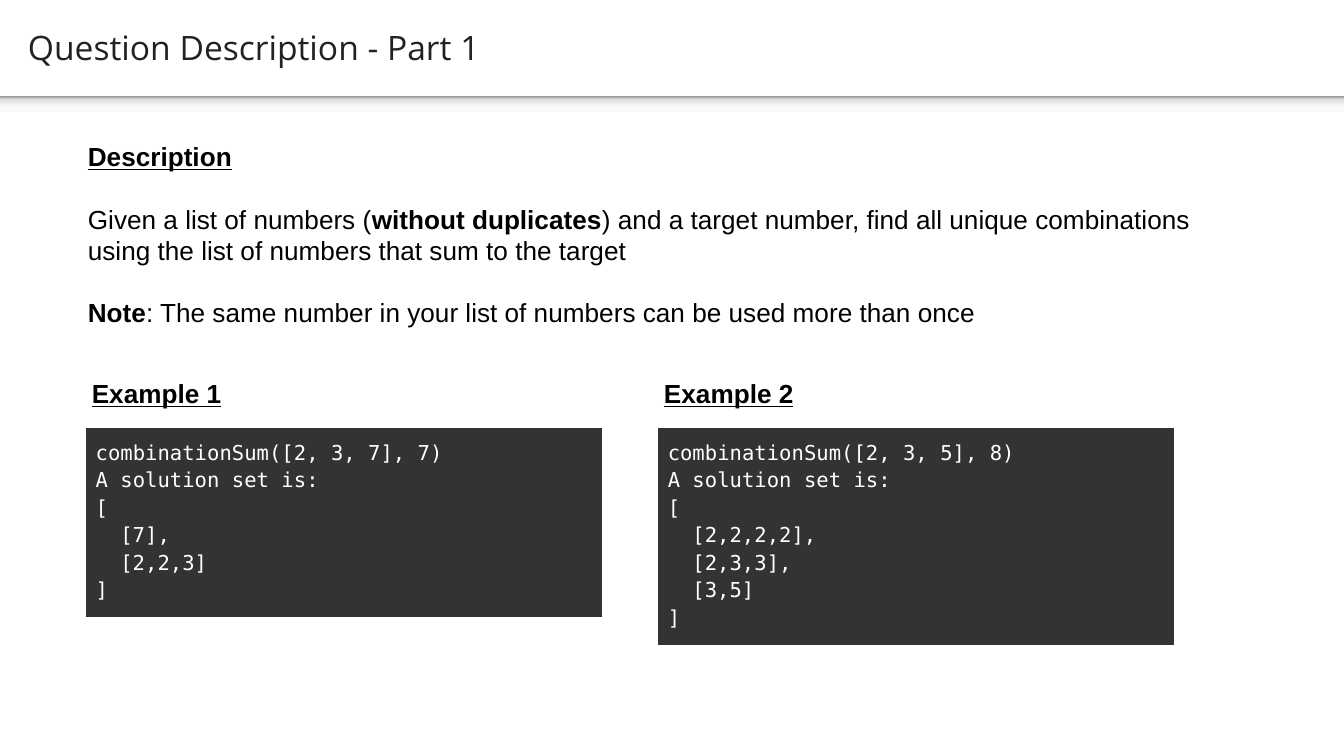
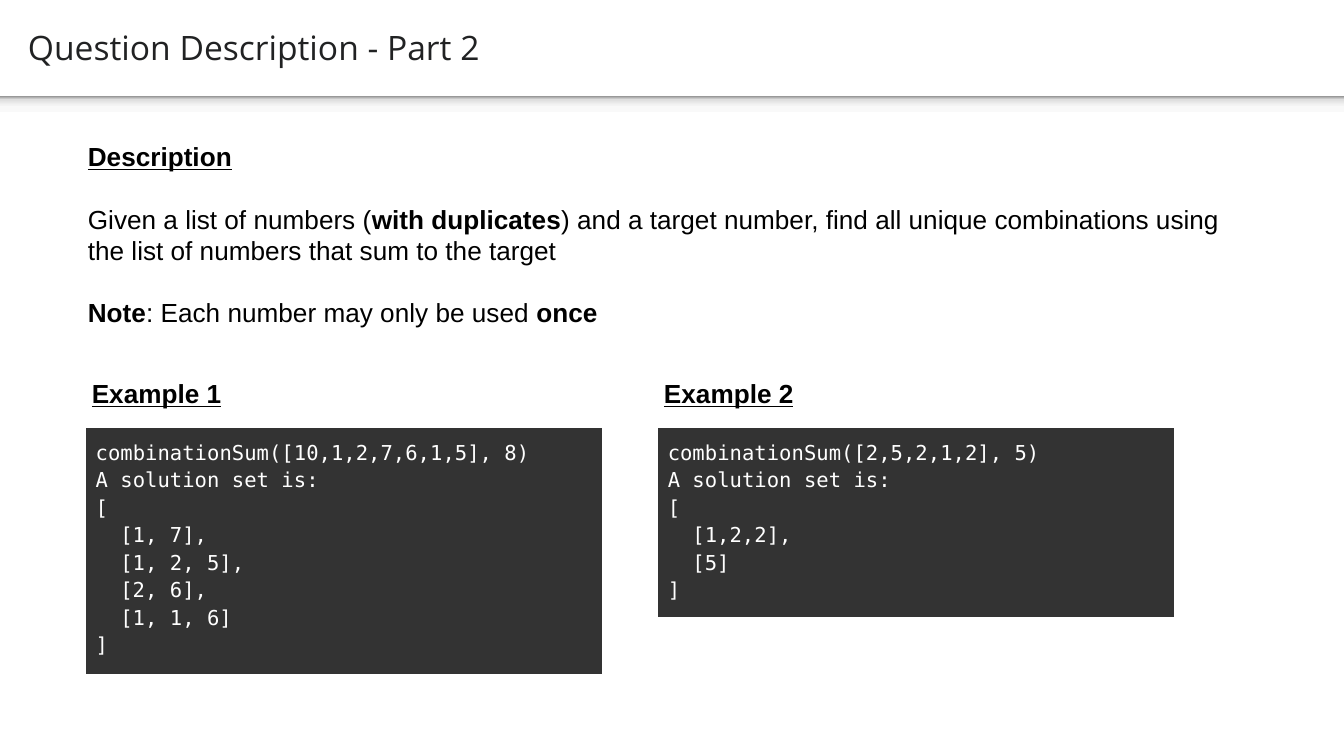
from dataclasses import dataclass

from lxml.etree import SubElement
from pptx import Presentation
from pptx.dml.color import RGBColor
from pptx.enum.shapes import MSO_SHAPE
from pptx.enum.text import MSO_ANCHOR
from pptx.oxml.ns import qn
from pptx.util import Inches, Pt


@dataclass(frozen=True)
class Theme:
    # Colours
    ink: str = "000000"
    title_ink: str = "212223"
    code_ink: str = "FFFFFF"
    code_fill: str = "333333"
    band: tuple = ((0, "F9F9F9"), (36, "F9F9F9"), (80, "DEDEDE"), (100, "999999"))
    # Fonts and sizes in points
    title_font: str = "Open Sans"
    body_font: str = "Arial"
    code_font: str = "DejaVu Sans Mono"
    title_size: int = 18
    body_size: int = 14
    code_size: int = 11
    body_gap: float = 16.7
    code_indent: float = 13.24
    code_spacing: float = 1.15


# Grid of tenths of an inch: 100 columns by 56.25 rows
UNIT = 0.1
COLUMNS, ROWS = 100, 56.25
EXAMPLE_COLUMNS = (5.85, 48.42)
SIDES = ("margin_left", "margin_top", "margin_right", "margin_bottom")


def grid(*cells):
    return [Inches(cell * UNIT) for cell in cells]


def set_values(target, values):
    for name, value in values.items():
        setattr(target, name, value)


class Deck:
    def __init__(self, theme):
        self.theme = theme
        self.presentation = Presentation()
        self.presentation.slide_width, self.presentation.slide_height = grid(COLUMNS, ROWS)
        self.page = None

    def new_page(self, title):
        theme = self.theme
        self.page = self.presentation.slides.add_slide(self.presentation.slide_layouts[6])
        self.band(0, 7.17, COLUMNS, 1.2)
        self.text((1.1, 0.2, 96.5, 6.6), [[(title, {})]], MSO_ANCHOR.MIDDLE,
                  name=theme.title_font, size=Pt(theme.title_size), color=theme.title_ink)

    def band(self, *place):
        """Soft shadow under the title, darkest at its top edge."""
        shape = self.page.shapes.add_shape(MSO_SHAPE.RECTANGLE, *grid(*place))
        shape.shadow.inherit = False
        shape.line.fill.background()
        shape.fill.gradient()
        shape.fill.gradient_angle = 90
        stops = shape.element.spPr.find(".//" + qn("a:gsLst"))
        for stop in list(stops):
            stops.remove(stop)
        for position, colour in self.theme.band:
            stop = SubElement(stops, qn("a:gs"), pos=str(position * 1000))
            SubElement(stop, qn("a:srgbClr"), val=colour)

    def span(self, para, words, color, **style):
        span = para.add_run()
        span.text = words
        set_values(span.font, style)
        span.font.color.rgb = RGBColor.from_string(color)

    def text(self, place, paras, anchor=MSO_ANCHOR.TOP, **style):
        """Each paragraph is a list of (words, format values)."""
        theme = self.theme
        base = {"name": theme.body_font, "size": Pt(theme.body_size), "color": theme.ink}
        frame = self.page.shapes.add_textbox(*grid(*place)).text_frame
        set_values(frame, dict.fromkeys(SIDES, Inches(0.1)))
        set_values(frame, {"word_wrap": True, "vertical_anchor": anchor})
        for index, spans in enumerate(paras):
            para = frame.add_paragraph() if index else frame.paragraphs[0]
            para.space_before = Pt(theme.body_gap if index else 0)
            for words, extra in spans:
                self.span(para, words, **{**base, **style, **extra})

    def code(self, column, row, lines):
        """One-cell table; the lines inside the outer brackets are indented."""
        theme = self.theme
        # The row grows to fit its lines
        place = grid(column, row, 38.4, 2 * len(lines) + 1)
        table = self.page.shapes.add_table(1, 1, *place).table
        set_values(table, {"first_row": False, "horz_banding": False})
        cell = table.cell(0, 0)
        set_values(cell, dict.fromkeys(SIDES, Inches(0.07)))
        # Invisible borders go before the fill
        properties = cell._tc.get_or_add_tcPr()
        for side in ("a:lnL", "a:lnR", "a:lnT", "a:lnB"):
            line = SubElement(properties, qn(side), w=str(Pt(0.75)))
            fill = SubElement(line, qn("a:solidFill"))
            colour = SubElement(fill, qn("a:srgbClr"), val=theme.ink)
            SubElement(colour, qn("a:alpha"), val="0")
        cell.fill.solid()
        cell.fill.fore_color.rgb = RGBColor.from_string(theme.code_fill)
        frame = cell.text_frame
        for index, words in enumerate(lines):
            para = frame.add_paragraph() if index else frame.paragraphs[0]
            para.line_spacing = theme.code_spacing
            if 3 <= index < len(lines) - 1:
                para._p.get_or_add_pPr().set("marL", str(Pt(theme.code_indent)))
            self.span(para, words, name=theme.code_font, size=Pt(theme.code_size),
                      color=theme.code_ink)

    def example(self, number, column, call, solutions):
        self.text((column, 27.1, 32.4, 4), [[(f"Example {number}", HEADING)]])
        self.code(column + 0.57, 31.87, [call, "A solution set is:", "[", *solutions, "]"])


BOLD = {"bold": True}
HEADING = {"bold": True, "underline": True}

# Per part: kind of list, note, then call and solutions of each example
PARTS = [
    ("without duplicates",
     [(": The same number in your list of numbers can be used more than once", {})],
     [("combinationSum([2, 3, 7], 7)", ["[7],", "[2,2,3]"]),
      ("combinationSum([2, 3, 5], 8)", ["[2,2,2,2],", "[2,3,3],", "[3,5]"])]),
    ("with duplicates",
     [(": Each number may only be used ", {}), ("once", BOLD)],
     [("combinationSum([10,1,2,7,6,1,5], 8)",
       ["[1, 7],", "[1, 2, 5],", "[2, 6],", "[1, 1, 6]"]),
      ("combinationSum([2,5,2,1,2], 5)", ["[1,2,2],", "[5]"])]),
]


def main():
    deck = Deck(Theme())
    for part, (kind, note, examples) in enumerate(PARTS, 1):
        deck.new_page(f"Question Description - Part {part}")
        # Description
        deck.text((5.55, 9.45, 88.9, 17.7), [
            [("Description", HEADING)],
            [("Given a list of numbers (", {}), (kind, BOLD),
             (") and a target number, find all unique combinations "
              "using the list of numbers that sum to the target", {})],
            [("Note", BOLD), *note],
        ])
        # Examples side by side
        for number, (column, example) in enumerate(zip(EXAMPLE_COLUMNS, examples), 1):
            deck.example(number, column, *example)
    deck.presentation.save("out.pptx")


if __name__ == "__main__":
    main()
